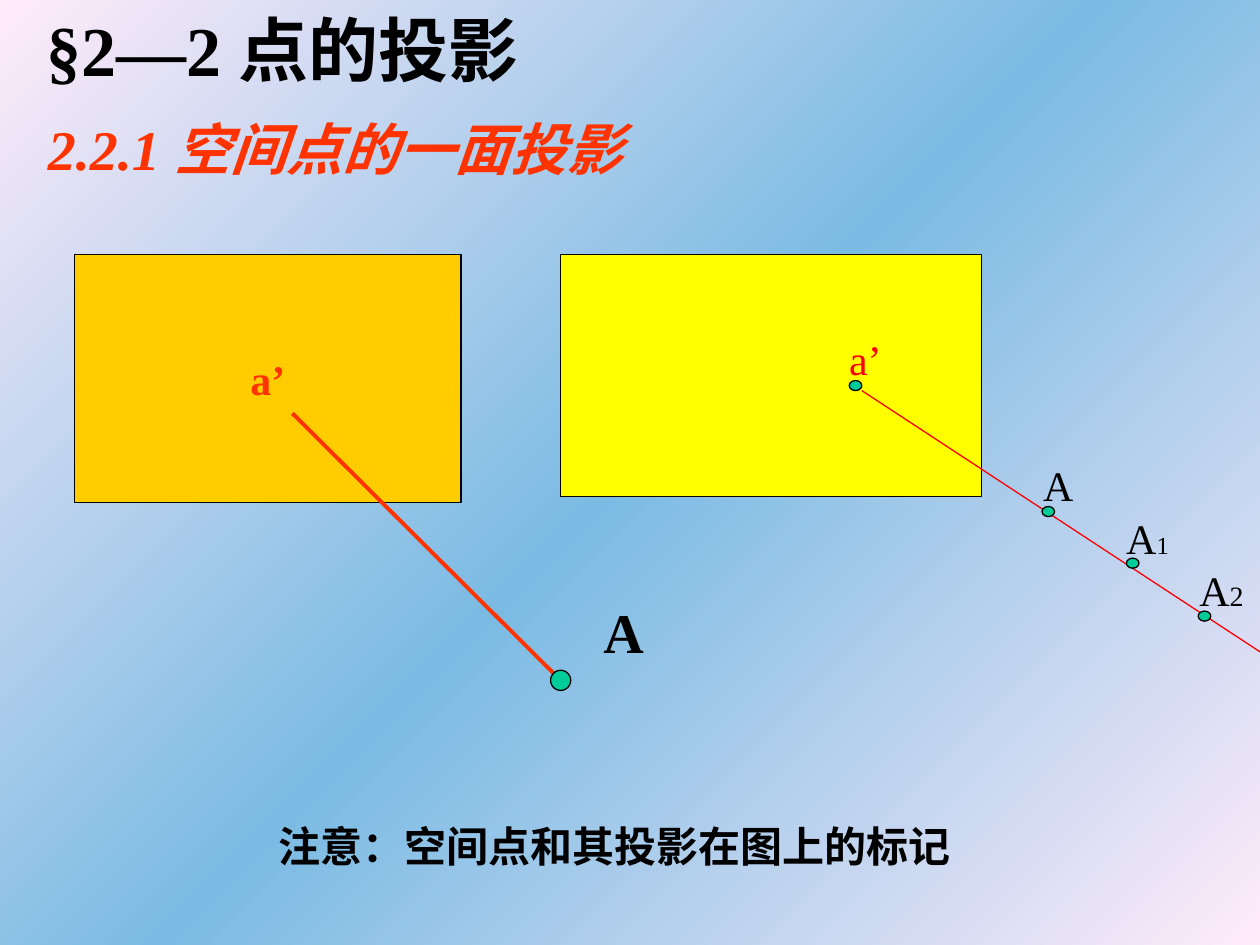
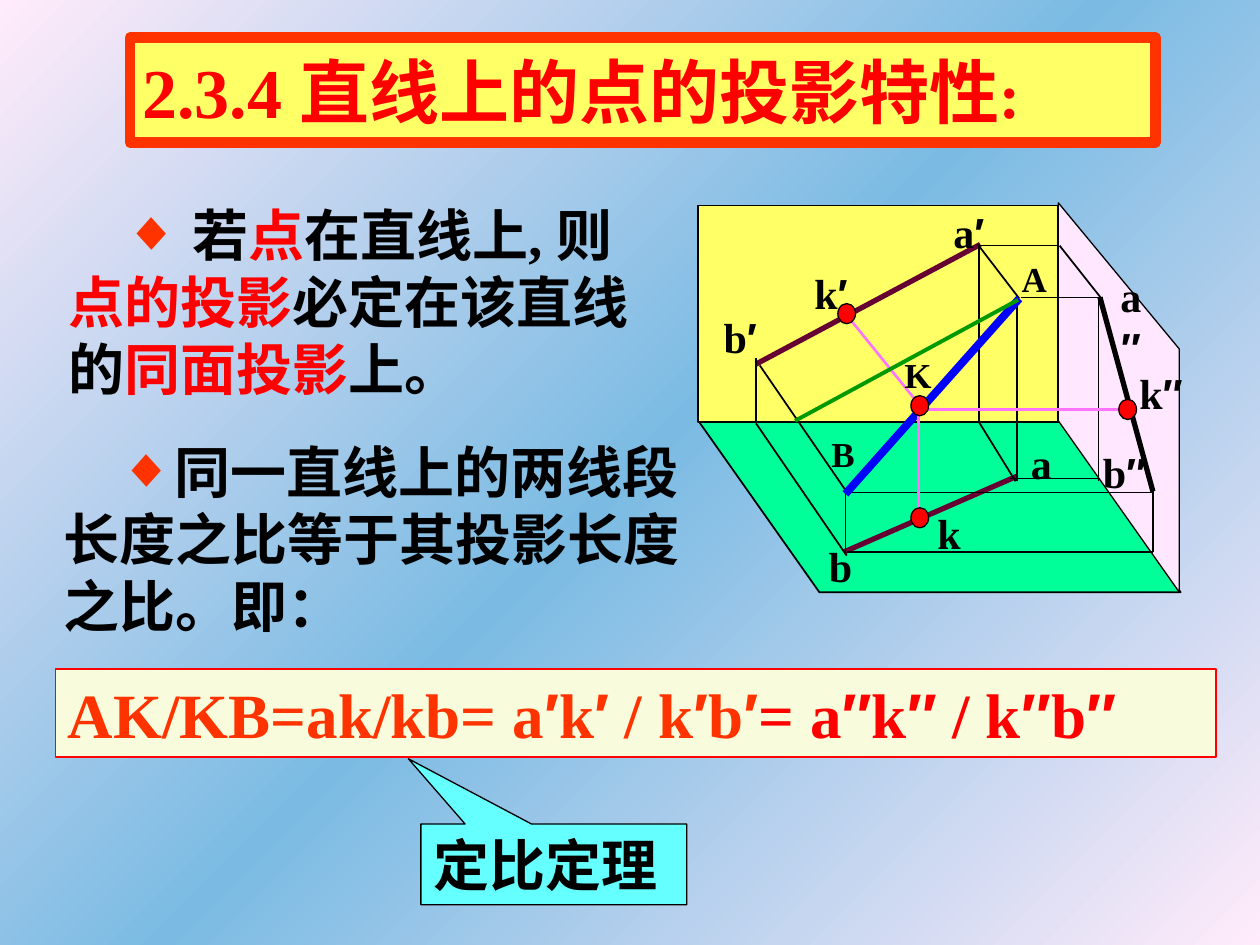
from copy import deepcopy
from dataclasses import dataclass
from itertools import groupby

from lxml.etree import SubElement
from pptx import Presentation
from pptx.dml.color import RGBColor
from pptx.enum.shapes import MSO_CONNECTOR as Connector, MSO_SHAPE as Shape
from pptx.enum.text import MSO_ANCHOR as Anchor, MSO_AUTO_SIZE as AutoSize, PP_ALIGN as Align
from pptx.oxml.ns import qn
from pptx.util import Pt

EMU_PER_PX = 9144  # 100 px to the inch
PRIMES = "′″"


@dataclass(frozen=True)
class Theme:
    font: str = "Times New Roman"
    prime_font: str = "Arial"
    # type sizes
    title: int = 40
    formula: int = 36
    body: int = 32
    label: int = 24
    small_label: int = 20
    # colours
    black: str = "000000"
    red: str = "FF0000"
    orange_red: str = "FF3300"
    amber: str = "FFCC00"
    yellow: str = "FFFF00"
    pale_yellow: str = "FFFF66"
    cream: str = "F8FCDC"
    teal: str = "00CC99"
    mint: str = "00FF99"
    cyan: str = "66FFFF"
    pale_pink: str = "FFE7FF"
    pink: str = "FF73FF"
    maroon: str = "660033"
    blue: str = "0000FF"
    green: str = "009900"
    background: tuple = ("FFEBFA", "7BBBE3", "FFEBFA")


THEME = Theme()
EDGE = (THEME.black, 1)
THIN = (THEME.black, 0.75)
PROJECTION = (THEME.maroon, 3)
RAY = (THEME.pink, 1.5)


def px(length):
    return length * EMU_PER_PX


def rgb(color):
    return RGBColor.from_string(color)


class Deck:
    """Holds the theme and the slide being drawn; all boxes are (left, top, width, height) in px."""

    def __init__(self, theme):
        self.theme = theme
        self.presentation = Presentation()
        self.presentation.slide_width, self.presentation.slide_height = px(1000), px(750)
        self.slide = None
        self.paint_background()

    def paint_background(self):
        master = self.presentation.slide_master
        fill = master.background.fill
        fill.gradient()
        fill.gradient_angle = 135
        stop_list = master.element.find(".//" + qn("a:gsLst"))
        stop_list.append(deepcopy(stop_list[0]))
        for stop, color, position in zip(fill.gradient_stops, self.theme.background, (0, 0.5, 1)):
            stop.color.rgb = rgb(color)
            stop.position = position

    def new_slide(self, layout_index):
        layout = self.presentation.slide_layouts[layout_index]
        self.slide = self.presentation.slides.add_slide(layout)

    def paint(self, shape, fill, line):
        shape.shadow.inherit = False
        shape.fill.solid()
        shape.fill.fore_color.rgb = rgb(fill)
        self.stroke(shape, line)
        return shape

    def stroke(self, shape, line):
        color, width = line
        shape.line.color.rgb = rgb(color)
        shape.line.width = Pt(width)

    def set_text(self, shape, runs, size, color=THEME.black, bold=True, italic=False,
                 align=Align.LEFT, anchor=Anchor.MIDDLE, wrap=True, grow=True):
        """Set one paragraph; runs is a string or a list of (text, changed font values)."""
        frame = shape.text_frame
        frame_format = {
            "word_wrap": wrap, "vertical_anchor": anchor,
            "auto_size": AutoSize.SHAPE_TO_FIT_TEXT if grow else AutoSize.NONE,
            "margin_left": px(10), "margin_right": px(10),
            "margin_top": px(5), "margin_bottom": px(5),
        }
        for name, value in frame_format.items():
            setattr(frame, name, value)
        paragraph = frame.paragraphs[0]
        paragraph.alignment = align
        base = {"size": size, "color": color, "bold": bold, "italic": italic}
        for text, changes in [(runs, {})] if isinstance(runs, str) else runs:
            for is_prime, letters in groupby(text, lambda letter: letter in PRIMES):
                run = paragraph.add_run()
                run.text = "".join(letters)
                values = {**base, **changes}
                run.font.color.rgb = rgb(values.pop("color"))
                values["size"] = Pt(values["size"])
                values["name"] = self.theme.prime_font if is_prime else self.theme.font
                for name, value in values.items():
                    setattr(run.font, name, value)
        return paragraph

    def place(self, placeholder, box):
        placeholder.left, placeholder.top, placeholder.width, placeholder.height = map(px, box)
        return placeholder

    def title(self, box, runs, **text_format):
        shape = self.place(self.slide.shapes.title, box)
        self.set_text(shape, runs, self.theme.title, **text_format)
        return shape

    def body(self, index, box, runs, bullet=None, **text_format):
        """Fill a body placeholder; a bullet sits on an indented first line."""
        shape = self.place(self.slide.placeholders[index], box)
        paragraph = self.set_text(shape, runs, self.theme.body, **text_format)
        paragraph.space_before = Pt(0)
        properties = paragraph._p.get_or_add_pPr()
        properties.set("marL", "0")
        properties.set("indent", str(px(44 if bullet else 0)))
        if bullet:
            bullet_color = SubElement(properties, qn("a:buClr"))
            SubElement(bullet_color, qn("a:srgbClr"), val=self.theme.orange_red)
            SubElement(properties, qn("a:buFont"), typeface=self.theme.font)
            SubElement(properties, qn("a:buChar"), char=bullet)
        else:
            SubElement(properties, qn("a:buNone"))

    def shape(self, kind, box, fill, line=THIN, adjustments=(), flip=False):
        shape = self.slide.shapes.add_shape(kind, *map(px, box))
        for index, value in enumerate(adjustments):
            shape.adjustments[index] = value
        if flip:
            shape.element.spPr.get_or_add_xfrm().set("flipH", "1")
        return self.paint(shape, fill, line)

    def polygon(self, points, fill, line=THIN):
        builder = self.slide.shapes.build_freeform(*points[0], scale=EMU_PER_PX)
        builder.add_line_segments(points[1:], close=True)
        return self.paint(builder.convert_to_shape(), fill, line)

    def lines(self, style, *segments):
        for segment in segments:
            connector = self.slide.shapes.add_connector(Connector.STRAIGHT, *map(px, segment))
            self.stroke(connector, style)
            SubElement(connector.element.spPr, qn("a:effectLst"))

    def dots(self, size, fill, *corners):
        for corner in corners:
            self.shape(Shape.OVAL, (*corner, *size), fill)

    def label(self, box, runs, size=THEME.label, **text_format):
        shape = self.slide.shapes.add_textbox(*map(px, box))
        self.set_text(shape, runs, size, **text_format)


def draw_point_projection(deck):
    theme = deck.theme
    deck.new_slide(1)
    deck.title((27, 0, 603, 77), "§2—2 点的投影")
    deck.body(1, (28, 86, 487, 64), "2.2.1 空间点的一面投影", color=theme.orange_red,
              italic=True, anchor=Anchor.TOP, wrap=False)

    deck.shape(Shape.RECTANGLE, (445, 202, 334, 192), theme.yellow)
    deck.lines((theme.red, 0.75), (684, 310, 1027, 535))
    deck.dots((10, 8), theme.teal, (674, 302), (827, 402), (894, 443), (951, 485))
    plain = {"bold": False, "anchor": Anchor.TOP}
    deck.label((818, 360, 44, 50), "A", wrap=False, **plain)
    deck.label((884, 402, 54, 50), [("A", {}), ("1", {"size": 14})], wrap=False, **plain)
    deck.label((942, 443, 55, 50), [("A", {}), ("2", {"size": 16})], wrap=False, **plain)
    deck.label((664, 260, 48, 50), "a’", color=theme.red, **plain)

    plane = deck.shape(Shape.RECTANGLE, (59, 202, 307, 197), theme.amber)
    deck.set_text(plane, "a’", theme.label, theme.orange_red, align=Align.CENTER,
                  wrap=False, grow=False)
    deck.lines((theme.orange_red, 2.25), (232, 328, 445, 540))
    deck.dots((16, 16), theme.teal, (437, 532))
    deck.label((469, 469, 52, 64), "A", theme.body, anchor=Anchor.TOP, wrap=False)
    deck.label((211, 646, 553, 50), "注意：空间点和其投影在图上的标记",
               anchor=Anchor.TOP, wrap=False)


def draw_projection_planes(deck):
    theme = deck.theme
    deck.shape(Shape.PARALLELOGRAM, (555, 335, 382, 135), theme.mint, EDGE, (0.706,), flip=True)
    deck.shape(Shape.RECTANGLE, (554, 163, 286, 172), theme.pale_yellow, EDGE)
    deck.lines(PROJECTION, (600, 289, 778, 194), (807, 378, 670, 438))
    deck.lines(EDGE, (600, 284, 600, 335), (776, 194, 809, 237), (777, 194, 777, 335),
               (807, 235, 807, 382), (806, 382, 777, 335), (600, 336, 672, 441),
               (671, 388, 671, 439), (603, 290, 671, 389))

    deck.polygon([(936, 470), (840, 334), (840, 161), (936, 277)], theme.pale_pink)
    deck.lines(THIN, (776, 195, 840, 195), (810, 236, 875, 236), (672, 438, 915, 438),
               (671, 391, 914, 391), (872, 238, 872, 382), (872, 380, 802, 380))
    deck.lines(EDGE, (841, 195, 875, 238), (915, 387, 915, 438))
    deck.lines((theme.black, 3), (873, 236, 915, 390))
    deck.lines((theme.blue, 4.5), (809, 237, 671, 392))
    deck.lines(RAY, (672, 250, 731, 323), (729, 323, 729, 415), (736, 325, 896, 325))
    deck.lines((theme.green, 2.25), (808, 238, 631, 334))
    deck.dots((14, 16), theme.red, (665, 241), (723, 403), (888, 317), (723, 314))


def label_projections(deck):
    for text, box in {"B": (650, 338, 38, 44), "A": (801, 199, 40, 44),
                      "K": (708, 275, 41, 44)}.items():
        deck.label(box, text, deck.theme.small_label, align=Align.CENTER, wrap=False)
    for text, box in {"a′": (745, 159, 48, 50), "b": (648, 424, 38, 50),
                      "k′": (635, 207, 49, 50), "k": (734, 398, 38, 50)}.items():
        deck.label(box, text, align=Align.CENTER, wrap=False)
    for text, box in {"a": (808, 342, 37, 50), "b′": (564, 222, 47, 90),
                      "a″": (872, 210, 51, 90), "b″": (864, 349, 57, 50),
                      "k″": (893, 287, 57, 50)}.items():
        deck.label(box, text, align=Align.CENTER)


def draw_point_on_line(deck):
    theme = deck.theme
    red = {"color": theme.red}
    deck.new_slide(3)
    title = deck.title((103, 33, 814, 77),
                       [("2.3.4 直线上的点的投影特性", {}), (":", {"size": theme.formula})],
                       color=theme.red)
    deck.paint(title, theme.pale_yellow, (theme.orange_red, 6))
    deck.body(1, (44, 154, 487, 170),
              [(" 若", {}), ("点", red), ("在直线上, 则", {}), ("点的投影", red),
               ("必定在该直线的", {}), ("同面投影", red), ("上。", {})], bullet="◆")
    deck.body(2, (40, 342, 540, 170),
              "同一直线上的两线段长度之比等于其投影长度之比。即：", bullet="◆")
    draw_projection_planes(deck)
    label_projections(deck)

    formula = deck.shape(Shape.RECTANGLE, (44, 531, 921, 70), theme.cream, (theme.red, 1))
    deck.set_text(formula, [("AK/KB=ak/kb= a′k′ / k′b′", {}), ("= a″k″ / k″b″", red)],
                  theme.formula, theme.orange_red)
    callout = deck.shape(Shape.RECTANGULAR_CALLOUT, (334, 654, 211, 64), theme.cyan,
                         adjustments=(-0.547, -1.309))
    deck.set_text(callout, "定比定理", theme.body)


def main():
    deck = Deck(THEME)
    draw_point_projection(deck)
    draw_point_on_line(deck)
    deck.presentation.save("out.pptx")


if __name__ == "__main__":
    main()
